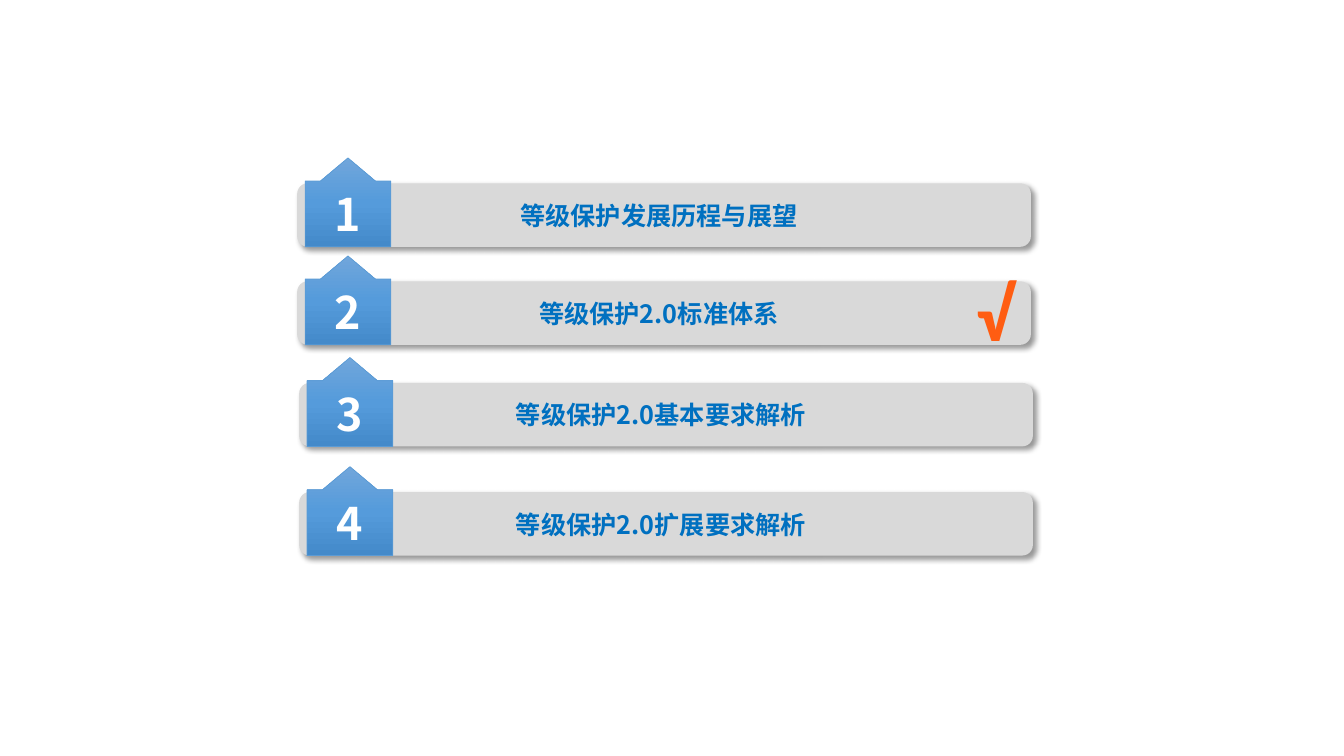
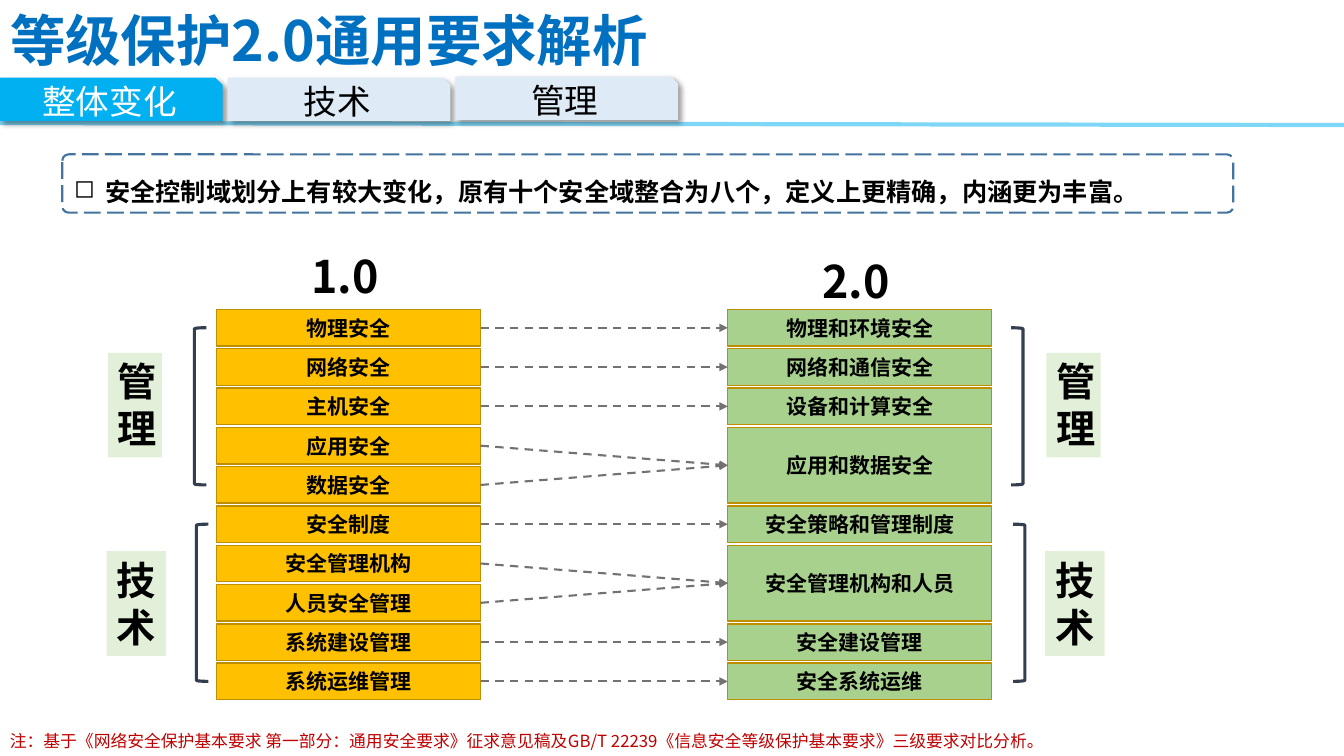
from lxml.etree import SubElement
from pptx import Presentation
from pptx.dml.color import RGBColor
from pptx.enum.dml import MSO_LINE as Dash
from pptx.enum.shapes import MSO_CONNECTOR as Link, MSO_SHAPE as Shape
from pptx.enum.text import MSO_ANCHOR as Anchor, MSO_AUTO_SIZE as Fit, PP_ALIGN as Align
from pptx.oxml.ns import qn
from pptx.util import Cm, Pt

CJK = "Noto Sans CJK SC"
COLORS = {
    "white": "FFFFFF", "black": "000000", "title": "0070C0", "sky": "00B0F0",
    "pale": "DEEBF7", "bar": "D9D9D9", "badge_edge": "5B9BD5", "note": "C00000",
    "dashes": "43739E", "old": "FFC000", "new": "A9D18E", "cell_edge": "BD8E00",
    "arrow": "767171", "bracket": "333F50", "mint": "E2F0D9",
}
BADGE_STOPS = [(0, "71A6DB"), (50, "559BDB"), (100, "448ACA")]
CHECK_STOPS = [(0, "FFAC8E"), (75, "FF5D12"), (100, "D45600")]

CHAPTERS = [
    ("等级保护发展历程与展望", 7.49, 4.62),
    ("等级保护2.0标准体系", 7.49, 7.09),
    ("等级保护2.0基本要求解析", 7.54, 9.65),
    ("等级保护2.0扩展要求解析", 7.54, 12.4),
]
BADGE_ADJUST = (1.61, 0.32, 0.27, 0.81)

TITLE = "等级保护2.0通用要求解析"
TABS = [("整体变化", 1.96, "sky", "white"), ("技术", 1.96, "pale", "black"),
        ("管理", 1.93, "pale", "black")]
SUMMARY = "安全控制域划分上有较大变化，原有十个安全域整合为八个，定义上更精确，内涵更为丰富。"
NOTE = ("注：基于《网络安全保护基本要求 第一部分：通用安全要求》征求意见稿及"
        "GB/T 22239《信息安全等级保护基本要求》三级要求对比分析。")
MERGES = [
    ("物理和环境安全", ["物理安全"]),
    ("网络和通信安全", ["网络安全"]),
    ("设备和计算安全", ["主机安全"]),
    ("应用和数据安全", ["应用安全", "数据安全"]),
    ("安全策略和管理制度", ["安全制度"]),
    ("安全管理机构和人员", ["安全管理机构", "人员安全管理"]),
    ("安全建设管理", ["系统建设管理"]),
    ("安全系统运维", ["系统运维管理"]),
]
VERSIONS = [("1.0", 7.59, 6.15), ("2.0", 20.47, 6.27)]
OLD_X, NEW_X, CELL_W, CELL_H = 5.46, 18.34, 6.65, 0.92
ROW_TOP, ROW_STEP = 7.8, 0.99
DOMAINS = [("管理", 0, 0, 2.72, 8.89, 1.37), ("技术", 5, 0.05, 2.69, 13.89, 1.5)]
SIDES = [(Shape.LEFT_BRACKET, 4.9, 0), (Shape.RIGHT_BRACKET, 25.48, 23.65)]


def rgb(name):
    return RGBColor.from_string(COLORS[name])


def apply(target, values):
    for key, value in values.items():
        setattr(target, key, value)


def blend(fill, element, stops):
    fill.gradient()
    fill.gradient_angle = 270
    stop_list = next(element.iter(qn("a:gsLst")))
    for stop in list(stop_list):
        stop_list.remove(stop)
    for position, color in stops:
        stop = SubElement(stop_list, qn("a:gs"), pos=str(position * 1000))
        SubElement(stop, qn("a:srgbClr"), val=color)


def write(holder, words, size, color="black", bold=True, align=Align.LEFT,
          anchor=Anchor.TOP, font=CJK, fit=Fit.NONE):
    frame = holder.text_frame
    apply(frame, {"word_wrap": True, "vertical_anchor": anchor, "auto_size": fit})
    paragraph = frame.paragraphs[0]
    paragraph.alignment = align
    run = paragraph.add_run()
    apply(run, {"text": words})
    apply(run.font, {"size": Pt(size), "bold": bold, "name": font})
    run.font.color.rgb = rgb(color)
    SubElement(run.font._element, qn("a:ea"), typeface=font)
    return run


def box(slide, kind, area, fill=None, edge=None, width=1, shadow=False):
    shape = slide.shapes.add_shape(kind, *map(Cm, area))
    shape.shadow.inherit = False
    if fill:
        shape.fill.solid()
        shape.fill.fore_color.rgb = rgb(fill)
    else:
        shape.fill.background()
    if edge:
        shape.line.color.rgb = rgb(edge)
        shape.line.width = Pt(width)
    else:
        shape.line.fill.background()
    if shadow:
        effects = shape._element.spPr.find(qn("a:effectLst"))
        cast = SubElement(effects, qn("a:outerShdw"), blurRad=str(Pt(4)), dist=str(Pt(3)),
                          dir="2700000", algn="tl", rotWithShape="0")
        tint = SubElement(cast, qn("a:srgbClr"), val=COLORS["black"])
        SubElement(tint, qn("a:alpha"), val="40000")
    return shape


def label(slide, area, words, size, **style):
    return write(slide.shapes.add_textbox(*map(Cm, area)), words, size,
                 fit=Fit.SHAPE_TO_FIT_TEXT, **style)


def rule(slide, ends, color, width):
    line = slide.shapes.add_connector(Link.STRAIGHT, *map(Cm, ends))
    line.line.color.rgb = rgb(color)
    line.line.width = Pt(width)
    SubElement(line._element.spPr, qn("a:effectLst"))
    return line


def cell(slide, left, row, span, words, fill):
    area = (left, ROW_TOP + row * ROW_STEP, CELL_W, CELL_H + (span - 1) * ROW_STEP)
    shape = box(slide, Shape.RECTANGLE, area, fill, "cell_edge")
    write(shape, words, 15, align=Align.CENTER, anchor=Anchor.MIDDLE)
    return shape


def build_agenda(deck):
    slide = deck.slides.add_slide(deck.slide_layouts[6])
    for number, (chapter, left, top) in enumerate(CHAPTERS, 1):
        box(slide, Shape.ROUNDED_RECTANGLE, (left, top, 18.49, 1.6), "bar", shadow=True)
        badge = box(slide, Shape.UP_ARROW_CALLOUT, (left + 0.2, top - 0.64, 2.16, 2.24),
                    edge="badge_edge", width=0.5)
        for index, value in enumerate(BADGE_ADJUST):
            badge.adjustments[index] = value
        blend(badge.fill, badge._element.spPr, BADGE_STOPS)
        write(badge, str(number), 32, "white", align=Align.CENTER, anchor=Anchor.MIDDLE)
        label(slide, (left + 2.41, top + 0.3, 13.41, 1.02), chapter, 18,
              color="title", align=Align.CENTER)
    check = label(slide, (24.1, 6.58, 1.98, 2.57), "√", 54, align=Align.CENTER, font="Calibri")
    blend(check.font.fill, check.font._element, CHECK_STOPS)


def build_header(slide):
    band = rule(slide, (0, 3.1, 33.87, 3.15), "sky", 3)
    tint = next(band._element.spPr.iter(qn("a:srgbClr")))
    SubElement(tint, qn("a:alpha"), val="50000")
    title = slide.shapes.title
    apply(title, {"left": Cm(0), "top": Cm(0.03), "width": Cm(21.87), "height": Cm(1.9)})
    write(title, TITLE, 39.6, "title", align=Align.JUSTIFY, anchor=Anchor.MIDDLE)
    for index, (tab, top, fill, color) in enumerate(TABS):
        shape = box(slide, Shape.SNIP_1_RECTANGLE, (index * 5.74, top, 5.61, 1.09),
                    fill, shadow=True)
        write(shape, tab, 24, color, False, Align.CENTER, Anchor.MIDDLE)


def build_summary(slide):
    frame = box(slide, Shape.ROUNDED_RECTANGLE, (1.57, 3.89, 29.51, 1.47),
                edge="dashes", width=1.5)
    frame.adjustments[0] = 0.11
    frame.line.dash_style = Dash.LONG_DASH
    write(frame, SUMMARY, 18, align=Align.JUSTIFY, anchor=Anchor.MIDDLE)
    paragraph = frame.text_frame.paragraphs[0]
    apply(paragraph, {"line_spacing": 1.5, "space_after": Pt(6)})
    layout = paragraph._p.get_or_add_pPr()
    layout.set("marL", str(Cm(0.79)))
    layout.set("indent", str(Cm(-0.79)))
    SubElement(layout, qn("a:buChar"), char="◻")


def build_mapping(slide):
    row = 0
    for new_name, old_names in MERGES:
        new_cell = cell(slide, NEW_X, row, len(old_names), new_name, "new")
        for old_name in old_names:
            old_cell = cell(slide, OLD_X, row, 1, old_name, "old")
            arrow = rule(slide, (0, 0, 1, 1), "arrow", 1.5)
            arrow.begin_connect(old_cell, 3)
            arrow.end_connect(new_cell, 1)
            arrow.line.dash_style = Dash.DASH
            SubElement(arrow.line._get_or_add_ln(), qn("a:tailEnd"), type="triangle")
            row += 1


def build_domains(slide):
    for bracket, bracket_x, shift in SIDES:
        for domain, first_row, nudge, left, top, width in DOMAINS:
            middle = ROW_TOP + first_row * ROW_STEP + CELL_H / 2
            box(slide, bracket, (bracket_x + nudge, middle, 0.3, 4 * ROW_STEP),
                edge="bracket", width=2.25)
            plate = box(slide, Shape.RECTANGLE, (left + shift, top, width, 2.64), "mint")
            write(plate, domain, 28, fit=Fit.SHAPE_TO_FIT_TEXT)


def build_comparison(deck):
    slide = deck.slides.add_slide(deck.slide_layouts[5])
    build_header(slide)
    build_summary(slide)
    build_mapping(slide)
    build_domains(slide)
    for version, left, top in VERSIONS:
        label(slide, (left, top, 2.41, 1.63), version, 32)
    label(slide, (0, 18.29, 30.48, 0.76), NOTE, 12, color="note", bold=False)


def main():
    deck = Presentation()
    apply(deck, {"slide_width": Cm(33.87), "slide_height": Cm(19.05)})
    build_agenda(deck)
    build_comparison(deck)
    deck.save("out.pptx")


if __name__ == "__main__":
    main()
